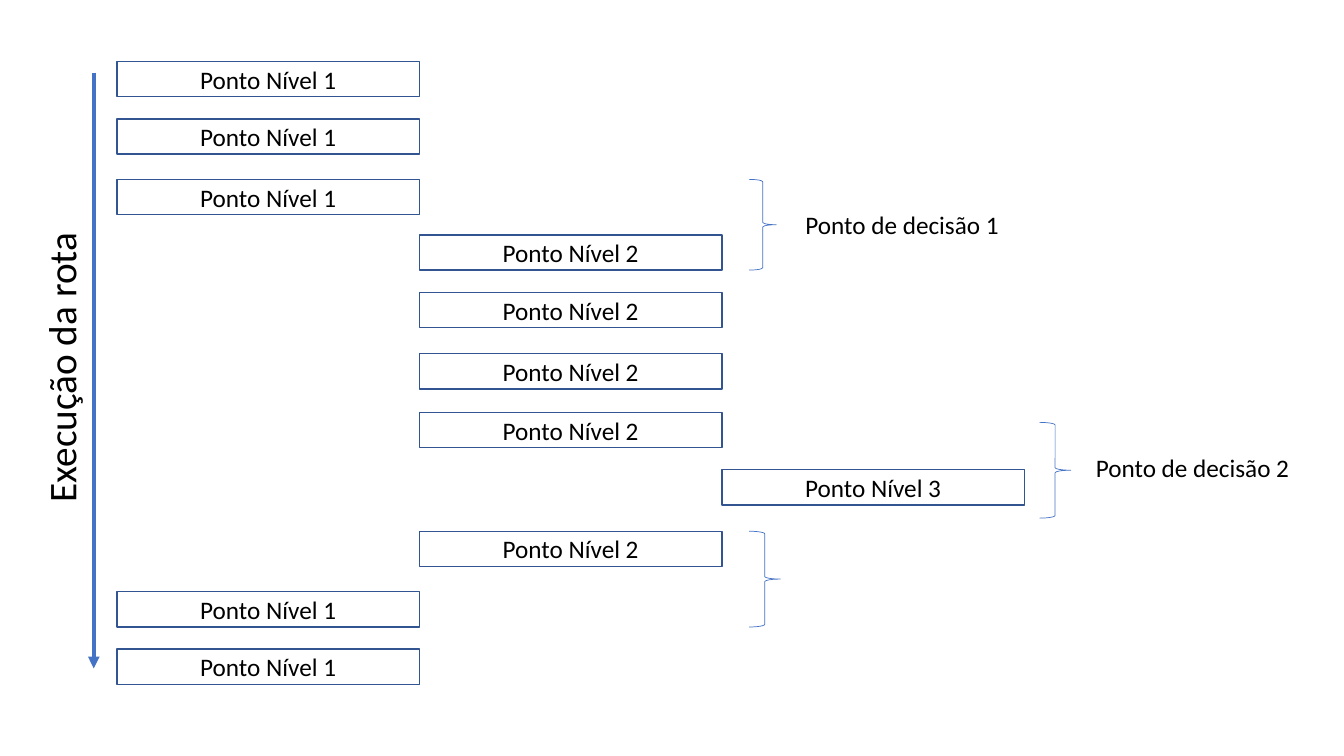
from dataclasses import dataclass

from lxml import etree
from pptx import Presentation
from pptx.dml.color import RGBColor
from pptx.enum.shapes import MSO_CONNECTOR, MSO_SHAPE
from pptx.enum.text import MSO_ANCHOR, MSO_AUTO_SIZE, PP_ALIGN
from pptx.oxml.ns import qn
from pptx.util import Inches, Pt

RECTANGLE, BRACE = MSO_SHAPE.RECTANGLE, MSO_SHAPE.RIGHT_BRACE
STRAIGHT = MSO_CONNECTOR.STRAIGHT
CENTER, LEFT = PP_ALIGN.CENTER, PP_ALIGN.LEFT
MIDDLE, FIT_SHAPE = MSO_ANCHOR.MIDDLE, MSO_AUTO_SIZE.SHAPE_TO_FIT_TEXT


@dataclass(frozen=True)
class Theme:
    font: str = "Calibri"
    body_size: Pt = Pt(18)
    axis_size: Pt = Pt(28)
    ink: RGBColor = RGBColor(0, 0, 0)
    paper: RGBColor = RGBColor(255, 255, 255)
    accent: RGBColor = RGBColor(0x44, 0x72, 0xC4)
    border: RGBColor = RGBColor(0x32, 0x54, 0x91)


theme = Theme()

FIRST_COLUMN, COLUMN_WIDTH, ROW_HEIGHT = 1.16, 3, 0.35

# Level and top of each point, in the order the route is run
ROUTE = [(1, 0.61), (1, 1.18), (1, 1.78), (2, 2.33), (2, 2.9), (2, 3.51),
         (2, 4.09), (3, 4.66), (2, 5.27), (1, 5.87), (1, 6.44)]

# Left, top, width and height of each brace, with its label
DECISIONS = [(7.43, 1.78, 0.27, 0.9, "Ponto de decisão 1"),
             (10.31, 4.19, 0.31, 0.95, "Ponto de decisão 2"),
             (7.43, 5.27, 0.31, 0.95, None)]


def box(*lengths):
    return [Inches(length) for length in lengths]


def write(frame, text, size=theme.body_size, align=LEFT):
    paragraph = frame.paragraphs[0]
    paragraph.alignment = align
    run = paragraph.add_run()
    run.text = text
    run.font.name, run.font.size = theme.font, size
    run.font.color.rgb = theme.ink


deck = Presentation()
deck.slide_width, deck.slide_height = box(13.33, 7.5)
slide = deck.slides.add_slide(deck.slide_layouts[6])
shapes = slide.shapes

for level, top in ROUTE:
    left = FIRST_COLUMN + (level - 1) * COLUMN_WIDTH
    point = shapes.add_shape(RECTANGLE, *box(left, top, COLUMN_WIDTH, ROW_HEIGHT))
    point.shadow.inherit = False
    point.fill.solid()
    point.fill.fore_color.rgb = theme.paper
    point.line.color.rgb = theme.border
    point.line.width = Pt(1)
    point.text_frame.vertical_anchor = MIDDLE
    write(point.text_frame, f"Ponto Nível {level}", align=CENTER)

for left, top, width, height, decision in DECISIONS:
    brace = shapes.add_shape(BRACE, *box(left, top, width, height))
    brace.shadow.inherit = False
    brace.fill.background()
    brace.line.color.rgb = theme.accent
    brace.line.width = Pt(0.5)
    if decision:
        label = shapes.add_textbox(*box(left + 0.46, top + 0.25, 2.14, 0.4))
        label.text_frame.word_wrap = False
        label.text_frame.auto_size = FIT_SHAPE
        write(label.text_frame, decision)

route_arrow = shapes.add_connector(STRAIGHT, *box(0.93, 0.72, 0.93, 6.63))
route_arrow.line.color.rgb = theme.accent
route_arrow.line.width = Pt(2.75)
etree.SubElement(route_arrow.line._get_or_add_ln(), qn("a:tailEnd"), type="triangle")
etree.SubElement(route_arrow._element.spPr, qn("a:effectLst"))

route_title = shapes.add_textbox(*box(-0.87, 3.32, 2.95, 0.57))
route_title.rotation = 270
route_title.text_frame.word_wrap = True
route_title.text_frame.auto_size = FIT_SHAPE
write(route_title.text_frame, "Execução da rota", theme.axis_size)

deck.save("out.pptx")
